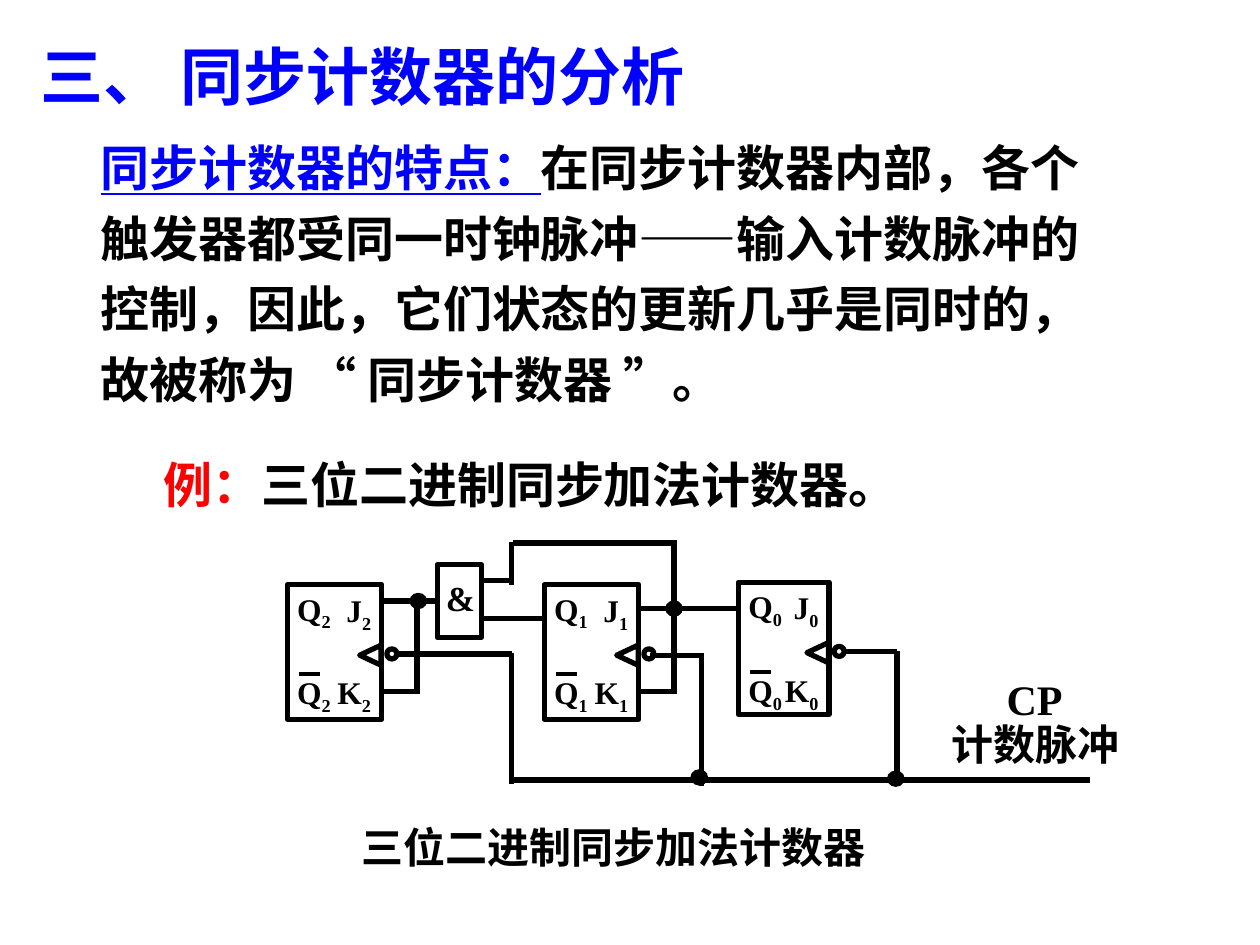
from dataclasses import dataclass

from lxml.etree import SubElement
from pptx import Presentation
from pptx.dml.color import RGBColor
from pptx.enum.shapes import MSO_CONNECTOR as Connector, MSO_SHAPE as Shape
from pptx.enum.text import MSO_AUTO_SIZE as AutoSize
from pptx.oxml.ns import qn
from pptx.util import Inches, Pt


@dataclass(frozen=True)
class Theme:
    font: str = "Times New Roman"
    ink: str = "000000"
    blue: str = "0000FF"
    red: str = "FF0000"
    paper: str = "FFFFFF"
    title: int = 36
    body: int = 28
    caption: int = 24
    gate: int = 20
    pin: int = 18
    wire: float = 3
    overbar: float = 2.25
    dot: float = 0.75


THEME = Theme()

# Text: (left, top, width, height), size, line spacing, spans of (words, colour, style)
TEXTS = [
    ((0.22, 0.25, 6.94, 0.7), THEME.title, None,
     [("三、 同步计数器的分析", THEME.blue, "")]),
    ((0.7, 0.95, 8.25, 2.34), THEME.body, 1.2,
     [("同步计数器的特点：", THEME.blue, "underline"),
      ("在同步计数器内部，各个触发器都受同一时钟脉冲——输入计数脉冲的控制，"
       "因此，它们状态的更新几乎是同时的，故被称为 “ 同步计数器 ”。", THEME.ink, "")]),
    ((1.2, 3.56, 6.72, 0.57), THEME.body, None,
     [("例：", THEME.red, ""), ("三位二进制同步加法计数器。", THEME.ink, "")]),
    ((2.77, 6.47, 5.75, 0.5), THEME.caption, None,
     [("三位二进制同步加法计数器", THEME.ink, "")]),
    ((7.45, 5.65, 1.63, 0.5), THEME.caption, None, [("计数脉冲", THEME.ink, "")]),
    ((7.89, 5.3, 0.85, 0.5), THEME.caption, None, [("CP", THEME.ink, "")]),
]

# Flip-flops: index, left, top, width, height
FLIP_FLOPS = [
    ("2", 2.28, 4.64, 0.75, 1.07),
    ("1", 4.32, 4.64, 0.75, 1.07),
    ("0", 5.86, 4.62, 0.72, 1.05),
]
GATE = (3.47, 4.48, 0.35, 0.58)

# Wires: x1, y1, x2, y2
WIRES = [
    # Clock inputs and the shared clock line
    (6.69, 5.17, 7.12, 5.17), (7.12, 5.17, 7.12, 6.22),
    (5.16, 5.2, 5.59, 5.2), (5.57, 5.19, 5.57, 6.24),
    (3.17, 5.19, 4.06, 5.19), (4.06, 5.18, 4.06, 6.22),
    (4.06, 6.19, 8.65, 6.19),
    # Q0 to J1, K1 and the gate
    (5.07, 4.83, 5.88, 4.83), (5.07, 5.49, 5.34, 5.49),
    (5.35, 4.31, 5.35, 5.51), (4.07, 4.31, 5.37, 4.31),
    (4.06, 4.3, 4.06, 4.64), (3.84, 4.61, 4.06, 4.61),
    # Q1 to the gate, and J2 to K2
    (3.82, 4.91, 4.34, 4.91), (3.05, 5.49, 3.31, 5.49),
    (3.31, 4.75, 3.31, 5.51),
]
J2_WIRE = (3.04, 4.77, 3.47, 4.77)
JUNCTIONS = [(5.35, 4.83), (3.32, 4.77), (5.55, 6.17), (7.11, 6.18)]

deck = Presentation()
deck.slide_width, deck.slide_height = Inches(10), Inches(7.5)
page = deck.slides.add_slide(deck.slide_layouts[6])


def color(code):
    return RGBColor.from_string(code)


def add_text(place, size, spacing, spans):
    box = page.shapes.add_textbox(*map(Inches, place))
    frame = box.text_frame
    frame.word_wrap = True
    frame.auto_size = AutoSize.SHAPE_TO_FIT_TEXT
    para = frame.paragraphs[0]
    if spacing:
        para.line_spacing = spacing
    para.font.name, para.font.size, para.font.bold = THEME.font, Pt(size), True
    for words, code, style in spans:
        span = para.add_run()
        span.text = words
        span.font.color.rgb = color(code)
        if style == "underline":
            span.font.underline = True
        elif style == "subscript":
            span.font._element.set("baseline", "-25000")


def add_shape(kind, place, fill=None, weight=THEME.wire):
    shape = page.shapes.add_shape(kind, *map(Inches, place))
    shape.shadow.inherit = False
    if fill:
        shape.fill.solid()
        shape.fill.fore_color.rgb = color(fill)
    else:
        shape.fill.background()
    shape.line.color.rgb = color(THEME.ink)
    shape.line.width = Pt(weight)
    return shape


def add_wire(ends, weight=THEME.wire):
    wire = page.shapes.add_connector(Connector.STRAIGHT, *map(Inches, ends))
    wire.line.color.rgb = color(THEME.ink)
    wire.line.width = Pt(weight)
    SubElement(wire._element.spPr, qn("a:effectLst"))
    return wire


def add_flip_flop(index, left, top, width, height):
    right = left + width
    add_shape(Shape.RECTANGLE, (left, top, width, height))
    # Clock input: edge triangle and inversion bubble
    triangle = add_shape(Shape.FLOWCHART_EXTRACT, (right - 0.17, top + 0.475, 0.16, 0.17))
    triangle.rotation = 270
    add_shape(Shape.OVAL, (right + 0.04, top + 0.51, 0.08, 0.08))
    # Pins, with a bar over the inverted output
    pins = [("Q", left - 0.02, top - 0.01), ("J", right - 0.38, top),
            ("Q", left - 0.02, top + 0.655), ("K", right - 0.45, top + 0.655)]
    for letter, x, y in pins:
        add_text((x, y, 0.65, 0.44), THEME.pin, None,
                 [(letter, THEME.ink, ""), (index, THEME.ink, "subscript")])
    add_wire((left + 0.09, top + 0.71, left + 0.26, top + 0.71), THEME.overbar)


# Words
for text in TEXTS:
    add_text(*text)

# Circuit
for flip_flop in FLIP_FLOPS:
    add_flip_flop(*flip_flop)
for ends in WIRES:
    add_wire(ends)

# AND gate, fed to J2
gate = add_shape(Shape.RECTANGLE, GATE, THEME.paper)
add_text((3.44, 4.53, 0.51, 0.44), THEME.gate, None, [("&", THEME.ink, "")])
add_wire(J2_WIRE).end_connect(gate, 1)

# Junction dots, given by their centres
for x, y in JUNCTIONS:
    add_shape(Shape.OVAL, (x - 0.065, y - 0.06, 0.13, 0.12), THEME.ink, THEME.dot)

deck.save("out.pptx")
